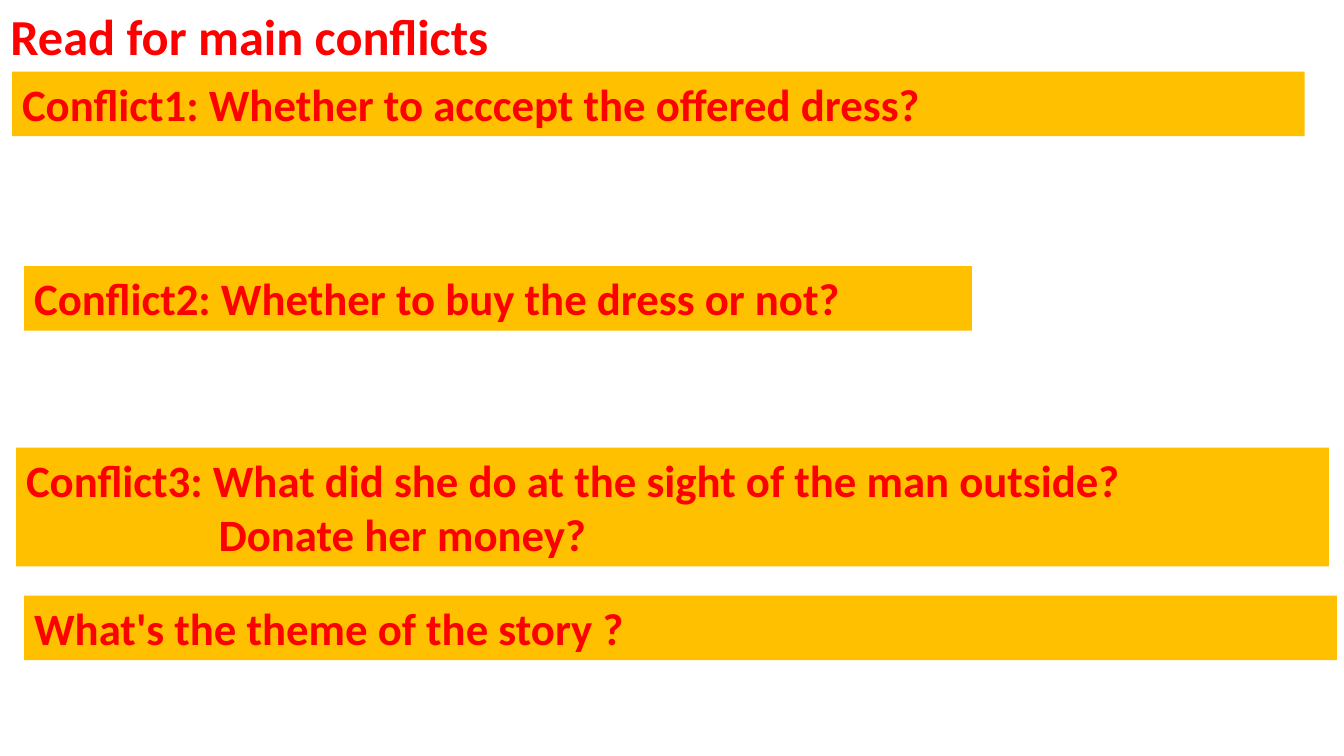
"""Build the slide that lists the main conflicts of a story."""
from pptx import Presentation
from pptx.dml.color import RGBColor
from pptx.enum.shapes import MSO_SHAPE
from pptx.enum.text import MSO_ANCHOR, MSO_AUTO_SIZE, PP_ALIGN
from pptx.util import Inches, Pt

RECTANGLE = MSO_SHAPE.RECTANGLE
TOP = MSO_ANCHOR.TOP
FIT_SHAPE = MSO_AUTO_SIZE.SHAPE_TO_FIT_TEXT
LEFT, CENTER = PP_ALIGN.LEFT, PP_ALIGN.CENTER

COLORS = {"text": "FF0000", "band": "FFC000"}
FONT = "Calibri"
CONTINUATION_INDENT = 1.91

BANDS = [
    (0.12, 0.71, 12.82, 0.64, ["Conflict1: Whether to acccept the offered dress?"]),
    (0.24, 2.64, 9.4, 0.64, ["Conflict2: Whether to buy the dress or not?"]),
    (0.16, 4.44, 13.02, 1.18,
     ["Conflict3: What did she do at the sight of the man outside?",
      "Donate her money?"]),
    (0.24, 5.91, 13.02, 0.64, ["What's the theme of the story ?"]),
]


def write_lines(text_frame, lines, size, alignment):
    """Fill a text frame with bold lines, indenting those after the first."""
    text_frame.auto_size = FIT_SHAPE
    text_frame.vertical_anchor = TOP
    text_frame.text = "\n".join(lines)
    for index, paragraph in enumerate(text_frame.paragraphs):
        paragraph.alignment = alignment
        if index:
            properties = paragraph._p.get_or_add_pPr()
            properties.set("marL", str(Inches(CONTINUATION_INDENT)))
        font = paragraph.runs[0].font
        font.name = FONT
        font.size = Pt(size)
        font.bold = True
        font.color.rgb = RGBColor.from_string(COLORS["text"])


def add_title(slide, text):
    """Add the unwrapped heading in the top left corner."""
    shape = slide.shapes.add_textbox(0, 0, Inches(4.95), Inches(0.71))
    shape.text_frame.word_wrap = False
    write_lines(shape.text_frame, [text], 36, CENTER)


def add_band(slide, left, top, width, height, lines):
    """Add a filled band holding one question."""
    shape = slide.shapes.add_shape(
        RECTANGLE, Inches(left), Inches(top), Inches(width), Inches(height))
    shape.shadow.inherit = False
    shape.fill.solid()
    shape.fill.fore_color.rgb = RGBColor.from_string(COLORS["band"])
    shape.line.fill.background()
    shape.text_frame.word_wrap = True
    write_lines(shape.text_frame, lines, 32, LEFT)


def main():
    """Create and save the presentation."""
    presentation = Presentation()
    presentation.slide_width = Inches(13.33)
    presentation.slide_height = Inches(7.5)
    slide = presentation.slides.add_slide(presentation.slide_layouts[6])
    add_title(slide, "Read for main conflicts")
    for band in BANDS:
        add_band(slide, *band)
    presentation.save("out.pptx")


if __name__ == "__main__":
    main()
